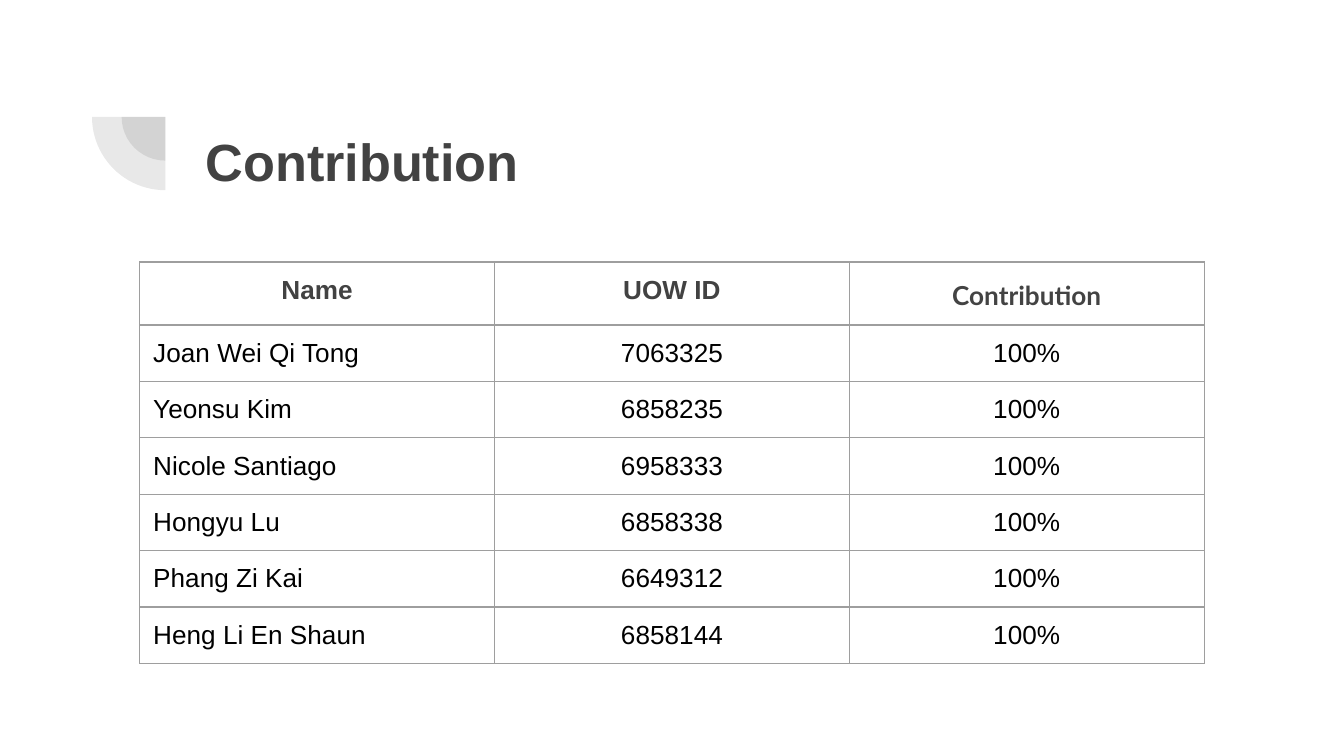
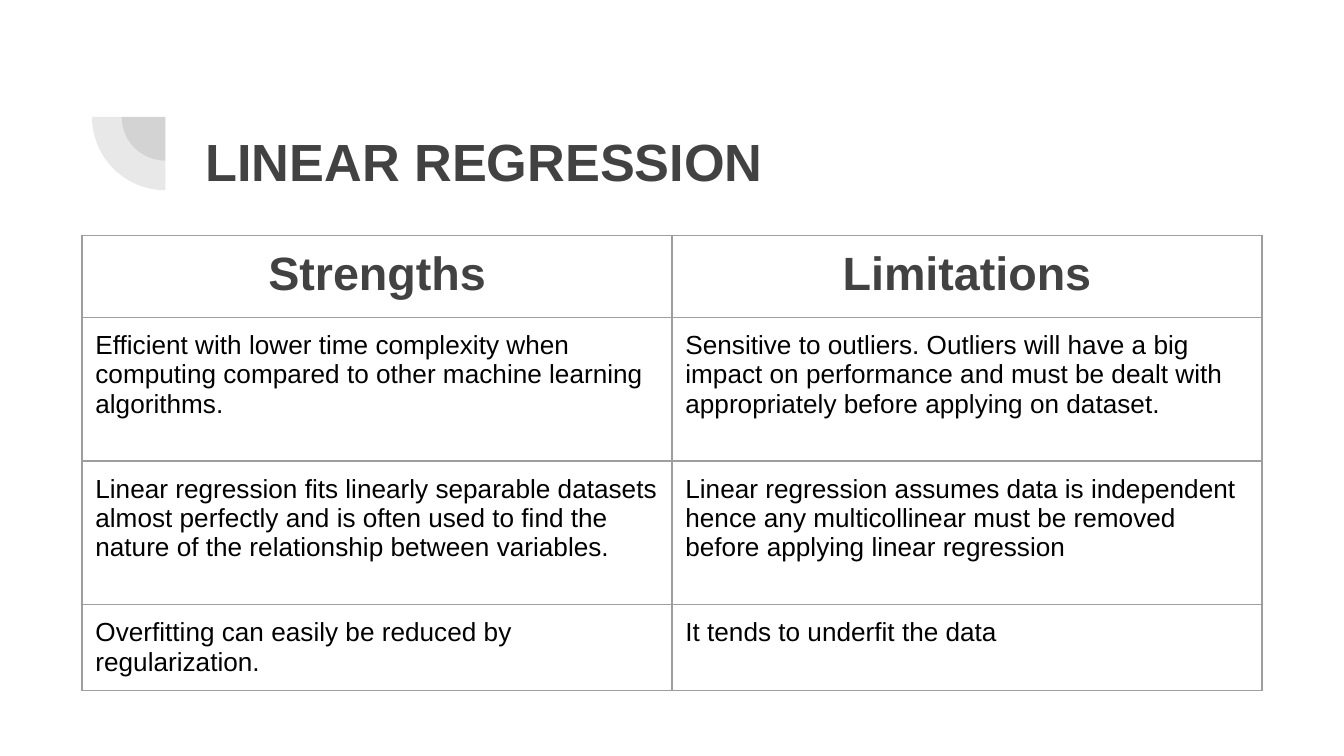
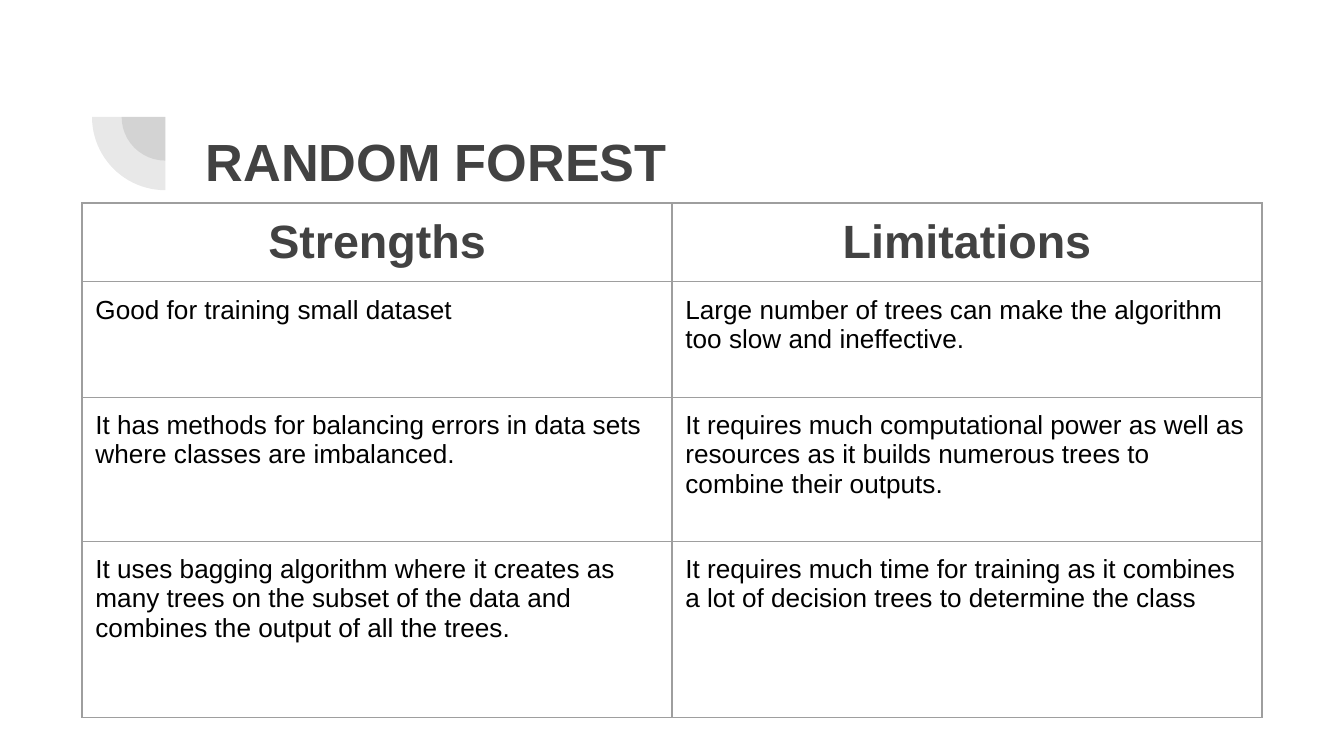
from dataclasses import dataclass

from lxml import etree
from pptx import Presentation
from pptx.dml.color import RGBColor
from pptx.enum.shapes import MSO_SHAPE
from pptx.enum.text import MSO_ANCHOR, MSO_AUTO_SIZE, PP_ALIGN
from pptx.oxml.ns import qn
from pptx.util import Inches, Pt

# Shared style
SLIDE_WIDTH = Inches(10)
SLIDE_HEIGHT = Inches(10 * 9 / 16)
DARK_GRAY = RGBColor(0x42, 0x42, 0x42)
HEADER_GRAY = RGBColor(0x43, 0x43, 0x43)
BORDER_GRAY = RGBColor(0x9E, 0x9E, 0x9E)
BLACK = RGBColor(0x00, 0x00, 0x00)
WHITE = RGBColor(0xFF, 0xFF, 0xFF)
BODY_FONT = "Arial"
ACCENT_FONT = "Lato"
TITLE_SIZE = 28
BODY_SIZE = 14
INSET = Inches(0.1)
BORDER_WIDTH = Pt(0.75)
BORDER_TAGS = ("a:lnL", "a:lnR", "a:lnT", "a:lnB")
LEFT, CENTER = PP_ALIGN.LEFT, PP_ALIGN.CENTER
MIDDLE = MSO_ANCHOR.MIDDLE
NO_AUTOFIT = MSO_AUTO_SIZE.NONE
PIE = MSO_SHAPE.PIE
TITLE_ONLY_LAYOUT = 5

# Quarter circles share one centre
PIE_CENTER_X, PIE_CENTER_Y = 1.23, 0.87
PIE_DIAMETERS = (0.65, 1.09)
PIE_ANGLES = (108, 162)
PIE_OPACITY = 12


@dataclass(frozen=True)
class TextStyle:
    size: float
    color: RGBColor
    bold: bool = False
    font: str = BODY_FONT
    line_spacing: float | None = None


@dataclass(frozen=True)
class TableSlide:
    title: str
    left: float
    top: float
    column_width: float
    row_heights: tuple[float, ...]
    header_styles: tuple[TextStyle, ...]
    body_alignments: tuple[PP_ALIGN, ...]
    rows: tuple[tuple[str, ...], ...]


TITLE_STYLE = TextStyle(TITLE_SIZE, DARK_GRAY, bold=True)
BODY_STYLE = TextStyle(BODY_SIZE, BLACK)
SMALL_HEADER = TextStyle(BODY_SIZE, DARK_GRAY, bold=True)
ACCENT_HEADER = TextStyle(BODY_SIZE, HEADER_GRAY, True, ACCENT_FONT, 1.15)
LARGE_HEADER = TextStyle(25, DARK_GRAY, bold=True)

# Slide contents
MEMBERS = (
    ("Joan Wei Qi Tong", "7063325"),
    ("Yeonsu Kim", "6858235"),
    ("Nicole Santiago", "6958333"),
    ("Hongyu Lu", "6858338"),
    ("Phang Zi Kai", "6649312"),
    ("Heng Li En Shaun", "6858144"),
)


def comparison(
    title: str,
    top: float,
    row_heights: tuple[float, ...],
    pairs: tuple[tuple[str, str], ...],
) -> TableSlide:
    """Describe a slide that sets strengths against limitations."""
    rows = (("Strengths", "Limitations"),) + pairs
    return TableSlide(
        title, 0.61, top, 4.39, row_heights, (LARGE_HEADER,) * 2, (LEFT,) * 2, rows
    )


TABLE_SLIDES = (
    TableSlide(
        title="Contribution",
        left=1.04,
        top=1.95,
        column_width=2.64,
        row_heights=(0.42,) * (len(MEMBERS) + 1),
        header_styles=(SMALL_HEADER, SMALL_HEADER, ACCENT_HEADER),
        body_alignments=(LEFT, CENTER, CENTER),
        rows=(("Name", "UOW ID", "Contribution"),)
        + tuple((name, number, "100%") for name, number in MEMBERS),
    ),
    comparison(
        "LINEAR REGRESSION",
        1.75,
        (0.61, 1.07, 1.07, 0.63),
        (
            (
                "Efficient with lower time complexity when computing compared to "
                "other machine learning algorithms.",
                "Sensitive to outliers. Outliers will have a big impact on performance "
                "and must be dealt with appropriately before applying on dataset.",
            ),
            (
                "Linear regression fits linearly separable datasets almost perfectly "
                "and is often used to find the nature of the relationship between "
                "variables.",
                "Linear regression assumes data is independent hence any multicollinear "
                "must be removed before applying linear regression",
            ),
            (
                "Overfitting can easily be reduced by regularization.",
                "It tends to underfit the data",
            ),
        ),
    ),
    comparison(
        "RANDOM FOREST",
        1.51,
        (0.58, 0.86, 1.07, 1.31),
        (
            (
                "Good for training small dataset",
                "Large number of trees can make the algorithm too slow and ineffective.",
            ),
            (
                "It has methods for balancing errors in data sets where classes are "
                "imbalanced.",
                "It requires much computational power as well as resources as it builds "
                "numerous trees to combine their outputs.",
            ),
            (
                "It uses bagging algorithm where it creates as many trees on the subset "
                "of the data and combines the output of all the trees.",
                "It requires much time for training as it combines a lot of decision "
                "trees to determine the class",
            ),
        ),
    ),
)


def write_text(text_frame, text: str, style: TextStyle, alignment: PP_ALIGN) -> None:
    text_frame.text = text
    paragraph = text_frame.paragraphs[0]
    paragraph.alignment = alignment
    if style.line_spacing:
        paragraph.line_spacing = style.line_spacing
    font = paragraph.runs[0].font
    font.name = style.font
    font.size = Pt(style.size)
    font.bold = style.bold
    font.color.rgb = style.color


def set_insets(target) -> None:
    target.margin_left = target.margin_right = INSET
    target.margin_top = target.margin_bottom = INSET


def add_quarter_circles(slide) -> None:
    for diameter in PIE_DIAMETERS:
        shape = slide.shapes.add_shape(
            PIE,
            Inches(PIE_CENTER_X - diameter / 2),
            Inches(PIE_CENTER_Y - diameter / 2),
            Inches(diameter),
            Inches(diameter),
        )
        shape.rotation = 270
        for index, angle in enumerate(PIE_ANGLES):
            shape.adjustments[index] = angle
        shape.shadow.inherit = False
        shape.line.fill.background()
        shape.fill.solid()
        shape.fill.fore_color.rgb = DARK_GRAY
        color = shape.element.spPr.find(qn("a:solidFill"))[0]
        etree.SubElement(color, qn("a:alpha"), val=str(PIE_OPACITY * 1000))


def format_title(slide, text: str) -> None:
    title = slide.shapes.title
    title.left, title.top = Inches(1.43), Inches(0.65)
    title.width, title.height = Inches(7.69), Inches(1.09)
    text_frame = title.text_frame
    text_frame.word_wrap = True
    text_frame.auto_size = NO_AUTOFIT
    text_frame.vertical_anchor = MIDDLE
    set_insets(text_frame)
    write_text(text_frame, text, TITLE_STYLE, LEFT)


def add_borders(cell) -> None:
    properties = cell._tc.get_or_add_tcPr()
    for position, tag in enumerate(BORDER_TAGS):
        line = etree.Element(qn(tag), w=str(BORDER_WIDTH))
        fill = etree.SubElement(line, qn("a:solidFill"))
        etree.SubElement(fill, qn("a:srgbClr"), val=str(BORDER_GRAY))
        properties.insert(position, line)


def add_bordered_table(slide, content: TableSlide) -> None:
    column_count = len(content.header_styles)
    table = slide.shapes.add_table(
        len(content.rows),
        column_count,
        Inches(content.left),
        Inches(content.top),
        Inches(content.column_width * column_count),
        Inches(sum(content.row_heights)),
    ).table
    table.first_row = table.horz_banding = False
    for column in table.columns:
        column.width = Inches(content.column_width)
    for row, height in zip(table.rows, content.row_heights):
        row.height = Inches(height)

    for row_index, texts in enumerate(content.rows):
        for column_index, text in enumerate(texts):
            cell = table.cell(row_index, column_index)
            cell.fill.background()
            set_insets(cell)
            add_borders(cell)
            if row_index == 0:
                style, alignment = content.header_styles[column_index], CENTER
            else:
                style, alignment = BODY_STYLE, content.body_alignments[column_index]
            write_text(cell.text_frame, text, style, alignment)


def add_table_slide(presentation, content: TableSlide) -> None:
    layout = presentation.slide_layouts[TITLE_ONLY_LAYOUT]
    slide = presentation.slides.add_slide(layout)
    slide.background.fill.solid()
    slide.background.fill.fore_color.rgb = WHITE
    add_quarter_circles(slide)
    format_title(slide, content.title)
    # Bring the title in front of the quarter circles
    title_element = slide.shapes.title.element
    title_element.getparent().append(title_element)
    add_bordered_table(slide, content)


def main() -> None:
    presentation = Presentation()
    presentation.slide_width = SLIDE_WIDTH
    presentation.slide_height = SLIDE_HEIGHT
    for content in TABLE_SLIDES:
        add_table_slide(presentation, content)
    presentation.save("out.pptx")


if __name__ == "__main__":
    main()
